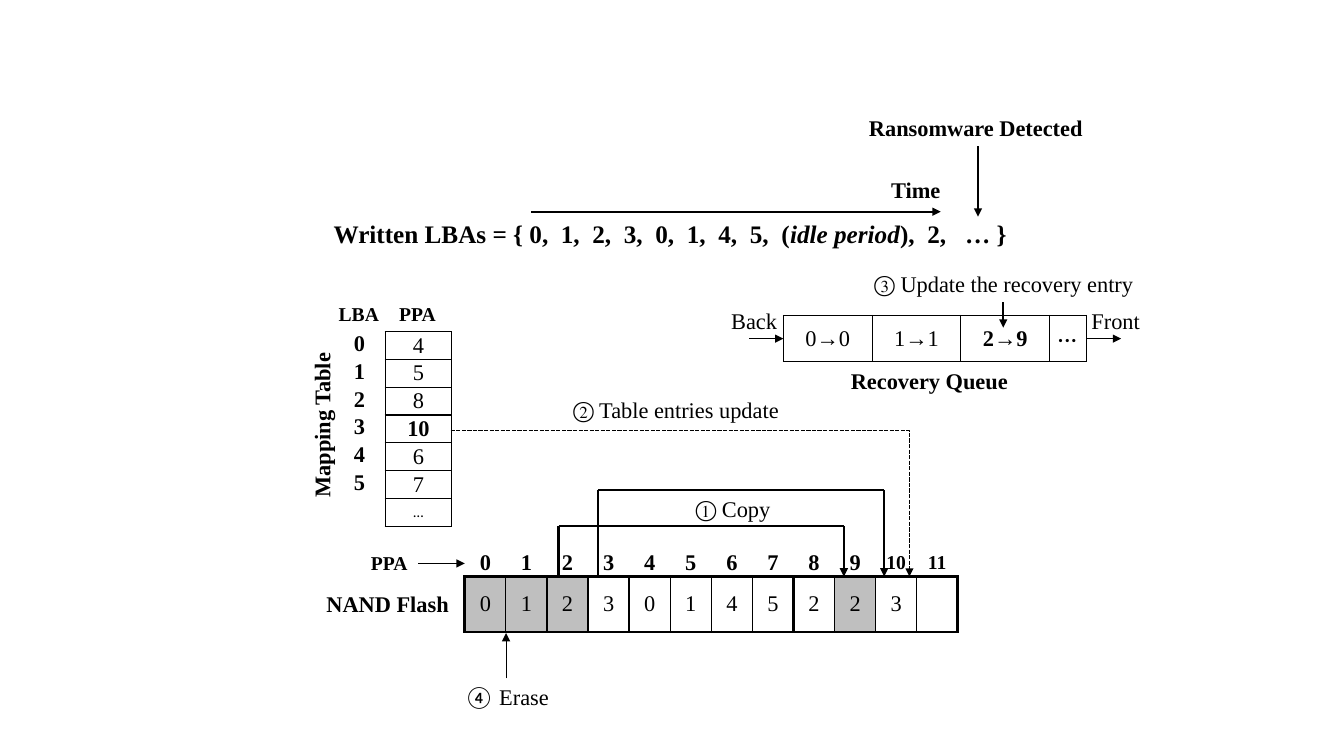
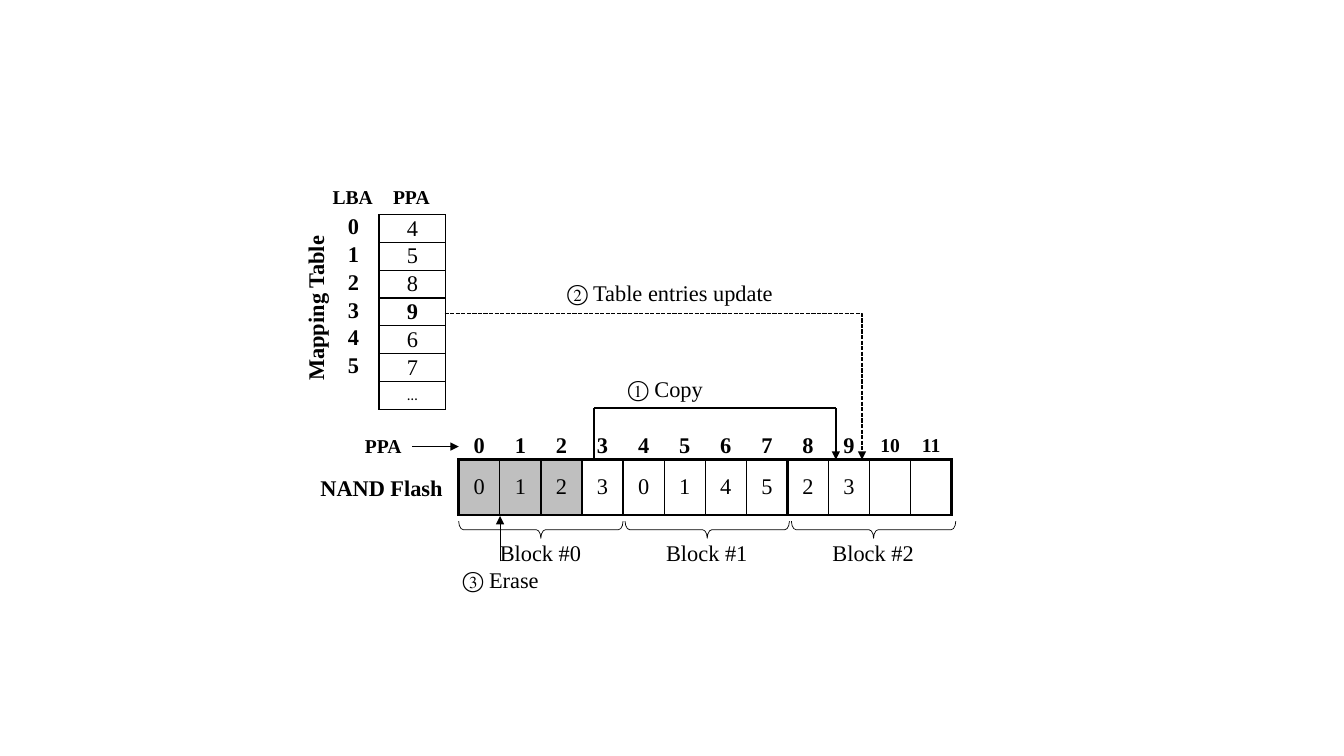
"""Build two slides on mapping table and flash updates after overwritten blocks."""
from lxml.etree import SubElement
from pptx import Presentation
from pptx.dml.color import RGBColor
from pptx.enum.dml import MSO_LINE
from pptx.enum.shapes import MSO_CONNECTOR as LINK, MSO_SHAPE as SHAPE
from pptx.enum.text import MSO_ANCHOR as ANCHOR, MSO_AUTO_SIZE as FIT, PP_ALIGN as ALIGN
from pptx.oxml.ns import qn
from pptx.util import Inches, Pt

SERIF, SANS = "Times New Roman", "Calibri"
BLACK, GREY = "000000", "BFBFBF"
NAND_WIDTH, NAND_HEIGHT, BLOCKS, PAGES = 4.89, 0.55, 3, 12
LBA_WIDTH, PPA_WIDTH, MAP_HEIGHT = 0.53, 0.66, 1.93

STAGES = [
    {
        "origin": (4.61, 5.72),
        "mapping": ["4", "5", "8", "10", "6", "7"],
        "nand": ["0", "1", "2", "3", "0", "1", "4", "5", "2", "2", "3", ""],
        "stale": (0, 1, 2, 9),
        "copies": [(5.54, 8.37, 5.22), (5.93, 8.77, 4.86)],
        "copy_label": (6.75, 4.86),
        "update_x": 9.02,
        "erase": ([("④ ", {"font": SANS}), ("Erase", {})], 1.01),
    },
    {
        "origin": (4.55, 4.56),
        "mapping": ["4", "5", "8", "9", "6", "7"],
        "nand": ["0", "1", "2", "3", "0", "1", "4", "5", "2", "3", "", ""],
        "stale": (0, 1, 2),
        "copies": [(5.89, 8.29, 4.05)],
        "copy_label": (6.08, 3.67),
        "update_x": 8.55,
        "erase": ([("③ Erase", {})], 1.01),
    },
]
UPDATED_LBA = 3
SHARED_LABELS = [
    ("NAND Flash", -1.47, 0.09, 1.43, 16),
    ("LBA", -1.35, -2.77, 0.61, 14),
    ("PPA", -1.03, -0.3, 0.57, 14),
    ("PPA", -0.75, -2.77, 0.57, 14),
]
QUEUE = ["0→0", "1→1", "2→9", ""]
QUEUE_WIDTHS = [0.88, 0.88, 0.88, 0.37]
WRITTEN = [
    ("Written LBAs = { 0,  1,  2,  3,  0,  1,  4,  5,  (", {}),
    ("idle period", {"italic": True}),
    ("),  2,   … }", {}),
]
HISTORY_LABELS = [
    (WRITTEN, 3.21, 2.12, 6.88, 18, True),
    ("Time", 8.74, 1.7, 0.7, 16, True),
    ("Ransomware Detected", 8.52, 1.08, 2.35, 16, True),
    ("Front", 10.72, 3, 0.69, 16, False),
    ("Back", 7.15, 3, 0.66, 16, False),
    ("Recovery Queue", 8.34, 3.59, 1.78, 16, True),
    ("···", 10.39, 3.2, 0.4, 14, True),
    ("③ Update the recovery entry", 8.52, 2.63, 2.87, 16, False),
]
HISTORY_ARROWS = [
    (5.27, 2.1, 9.33, 2.1, 1.5),
    (9.7, 1.45, 9.7, 2.15, 1.5),
    (9.95, 3, 9.95, 3.25, 1.5),
    (7.43, 3.36, 7.77, 3.36, 0.5),
    (10.78, 3.36, 11.12, 3.36, 0.5),
]


def color(code):
    return RGBColor.from_string(code)


def style(span, size=16, bold=False, italic=False, font=SERIF):
    span.font.name, span.font.size = font, Pt(size)
    span.font.bold, span.font.italic = bold, italic
    span.font.color.rgb = color(BLACK)


def label(page, spans, left, top, width, size=16, bold=False):
    height = {14: 0.34, 16: 0.37, 18: 0.4}[size]
    box = page.shapes.add_textbox(Inches(left), Inches(top), Inches(width), Inches(height))
    frame = box.text_frame
    frame.word_wrap, frame.auto_size = False, FIT.SHAPE_TO_FIT_TEXT
    para = frame.paragraphs[0]
    para.alignment = ALIGN.LEFT if bold else ALIGN.CENTER
    for text, changes in [(spans, {})] if isinstance(spans, str) else spans:
        span = para.add_run()
        span.text = text
        style(span, size, bold, **changes)
    return box


def line(page, x1, y1, x2, y2, weight, arrow=True, kind=LINK.STRAIGHT):
    link = page.shapes.add_connector(kind, Inches(x1), Inches(y1), Inches(x2), Inches(y2))
    link.line.width = Pt(weight)
    link.line.color.rgb = color(BLACK)
    props = link._element.spPr
    if kind == LINK.ELBOW:
        link.line.dash_style = MSO_LINE.SQUARE_DOT
        guides = props.find(qn("a:prstGeom")).get_or_add_avLst()
        SubElement(guides, qn("a:gd"), name="adj1", fmla="val 100000")
    if arrow:
        SubElement(props.find(qn("a:ln")), qn("a:tailEnd"), type="triangle")
    SubElement(props, qn("a:effectLst"))


def grid(page, left, top, widths, height, rows=1):
    area = Inches(left), Inches(top), Inches(sum(widths)), Inches(height)
    table = page.shapes.add_table(rows, len(widths), *area).table
    table.first_row = table.horz_banding = False
    for column, width in zip(table.columns, widths):
        column.width = Inches(width)
    for row in table.rows:
        row.height = Inches(height / rows)
    return table


def fill_cell(cell, text="", border=0, size=16, bold=False, font=SERIF, shade=None,
              tight=False, indent=0):
    cell.vertical_anchor = ANCHOR.MIDDLE
    if tight:
        cell.margin_left = Inches(indent)
        cell.margin_right = cell.margin_top = cell.margin_bottom = 0
    para = cell.text_frame.paragraphs[0]
    para.alignment = ALIGN.LEFT if indent else ALIGN.CENTER
    if text:
        para.text = text
        style(para.runs[0], size, bold, font=font)
    else:
        SubElement(para._p, qn("a:endParaRPr"), sz=str(size * 100))
    props = cell._tc.get_or_add_tcPr()
    for side in ("a:lnL", "a:lnR", "a:lnT", "a:lnB"):
        edge = SubElement(props, qn(side), w=str(Pt(border)))
        if border:
            paint = SubElement(edge, qn("a:solidFill"))
            SubElement(paint, qn("a:srgbClr"), val=BLACK)
        else:
            SubElement(edge, qn("a:noFill"))
    if shade:
        cell.fill.solid()
        cell.fill.fore_color.rgb = color(shade)
    else:
        cell.fill.background()


def draw_mapping(page, stage, left, top):
    entries = stage["mapping"]
    rows = len(entries) + 1
    table = grid(page, left, top, [LBA_WIDTH, PPA_WIDTH], MAP_HEIGHT, rows)
    for lba in range(rows):
        last = lba == len(entries)
        fill_cell(table.cell(lba, 0), "" if last else str(lba), bold=True, tight=True,
                  indent=0.22)
        table.cell(lba, 0).vertical_anchor = ANCHOR.TOP
        if last:
            fill_cell(table.cell(lba, 1), "…", 1, 10.5, font=SANS, tight=True)
        else:
            fill_cell(table.cell(lba, 1), entries[lba], 1, bold=lba == UPDATED_LBA, tight=True)


def draw_nand(page, stage, left, top):
    widths = [NAND_WIDTH / PAGES] * PAGES
    numbers = grid(page, left, top - 0.32, widths, 0.37)
    cells = grid(page, left, top, widths, NAND_HEIGHT)
    for ppa, value in enumerate(stage["nand"]):
        fill_cell(numbers.cell(0, ppa), str(ppa), size=14 if ppa > 9 else 16, bold=True)
        fill_cell(cells.cell(0, ppa), value, 1, shade=GREY if ppa in stage["stale"] else None)
    blocks = grid(page, left, top, [NAND_WIDTH / BLOCKS] * BLOCKS, NAND_HEIGHT)
    for block in range(BLOCKS):
        fill_cell(blocks.cell(0, block), border=2.25)


def draw_stage(page, stage):
    left, top = stage["origin"]
    draw_mapping(page, stage, left - 1.32, top - 2.43)
    draw_nand(page, stage, left, top)
    label(page, "Mapping Table", left - 2.25, top - 1.7, 1.66, bold=True).rotation = 270
    for text, dx, dy, width, size in SHARED_LABELS:
        label(page, text, left + dx, top + dy, width, size, True)
    line(page, left - 0.46, top - 0.13, left, top - 0.13, 0.5)
    line(page, left - 0.14, top - 1.45, stage["update_x"], top, 1, kind=LINK.ELBOW)
    label(page, "② Table entries update", left + 0.92, top - 1.84, 2.35)
    for start, end, height in stage["copies"]:
        line(page, start, top, start, height, 1.5, arrow=False)
        line(page, start, height, end, height, 1.5, arrow=False)
        line(page, end, height, end, top, 1.5)
    label(page, "① Copy", *stage["copy_label"], 1.04)
    erase, drop = stage["erase"]
    line(page, left + 0.41, top + drop, left + 0.41, top + 0.56, 0.5)
    label(page, erase, left - 0.11, top + drop, 1.05)


def draw_history(page):
    queue = grid(page, 7.77, 3.13, QUEUE_WIDTHS, 0.46)
    for index, entry in enumerate(QUEUE):
        fill_cell(queue.cell(0, index), entry, 1, bold=index == 2, tight=True)
    for item in HISTORY_LABELS:
        label(page, *item)
    for arrow in HISTORY_ARROWS:
        line(page, *arrow)


def draw_blocks(page, left, top):
    for block in range(BLOCKS):
        start = left + 1.65 * block
        brace = page.shapes.add_shape(SHAPE.LEFT_BRACE, Inches(start + 0.73),
                                      Inches(top - 0.12), Inches(0.17), Inches(1.63))
        brace.rotation = 270
        brace.adjustments[0] = 0.27
        brace.shadow.inherit = False
        brace.fill.background()
        brace.line.color.rgb = color(BLACK)
        brace.line.width = Pt(0.5)
        label(page, f"Block #{block}", start + 0.3, top + 0.74, 1.02)


deck = Presentation()
deck.slide_width, deck.slide_height = Inches(13.33), Inches(7.5)
recovery, baseline = [deck.slides.add_slide(deck.slide_layouts[6]) for stage in STAGES]
for page, stage in zip((recovery, baseline), STAGES):
    draw_stage(page, stage)
draw_history(recovery)
draw_blocks(baseline, *STAGES[1]["origin"])
deck.save("out.pptx")
